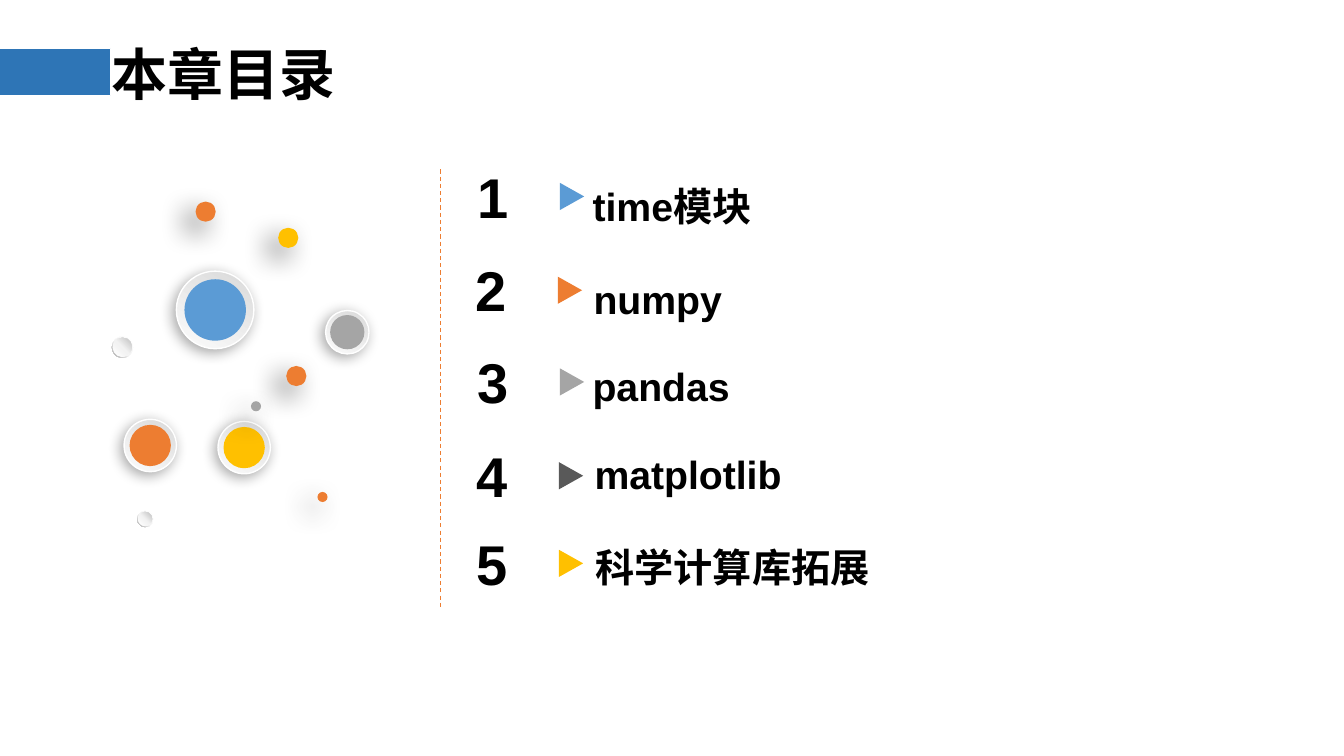
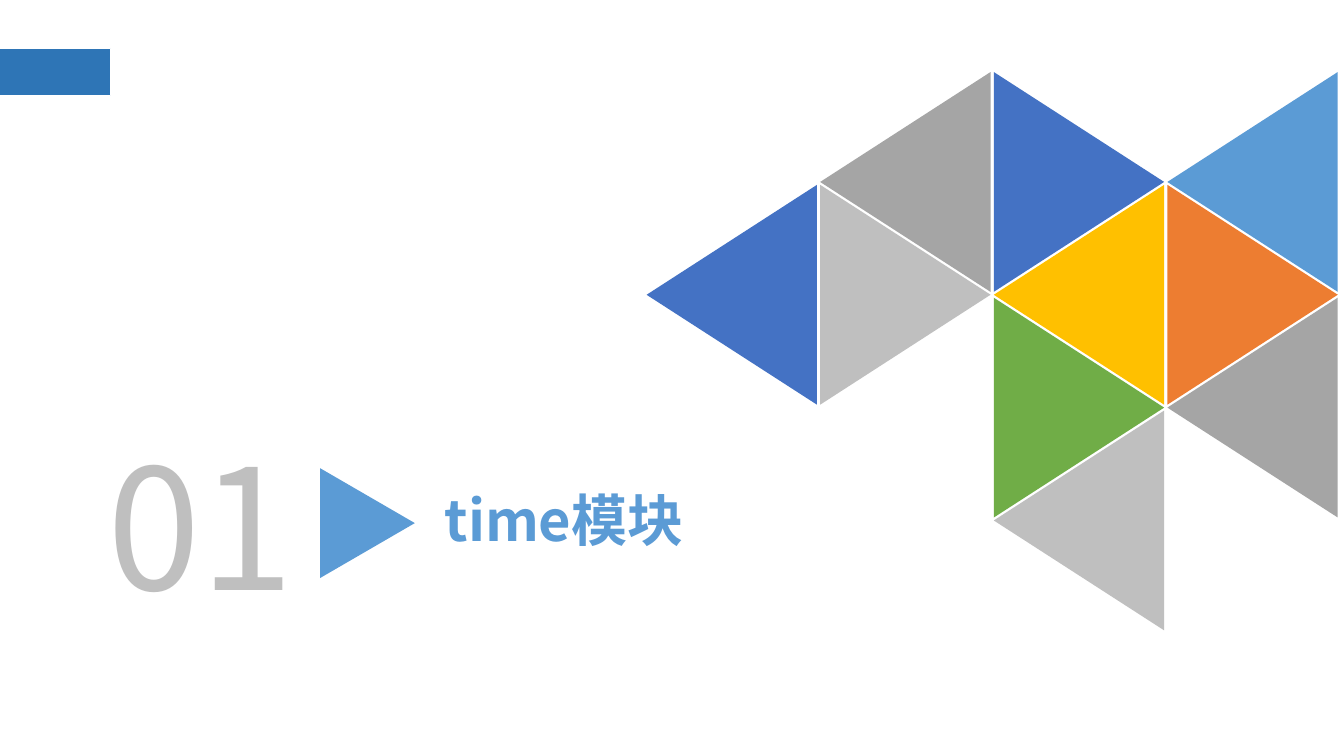
from lxml import etree
from pptx import Presentation
from pptx.dml.color import RGBColor
from pptx.enum.dml import MSO_LINE
from pptx.enum.shapes import MSO_CONNECTOR, MSO_SHAPE
from pptx.enum.text import MSO_ANCHOR, MSO_AUTO_SIZE, PP_ALIGN
from pptx.oxml.ns import qn
from pptx.util import Pt

RECTANGLE, TRIANGLE = MSO_SHAPE.RECTANGLE, MSO_SHAPE.ISOSCELES_TRIANGLE
OVAL, DONUT = MSO_SHAPE.OVAL, MSO_SHAPE.DONUT
LEFT, CENTER = PP_ALIGN.LEFT, PP_ALIGN.CENTER

LATIN, CHINESE = "Arial", "Noto Sans CJK SC"
BLACK, WHITE, SILVER, DARK_GREY, GREY = "000000", "FFFFFF", "BFBFBF", "595959", "A5A5A5"
BAND, BLUE, ROYAL, ORANGE, GOLD, GREEN = "2E75B6", "5B9BD5", "4472C4", "ED7D31", "FFC000", "70AD47"

# Gradients: stops as (percent, colour), then the clockwise angle
RIM = ([(0, "D9D9D9"), (100, "FCFCFC")], 120)
BEAD_EDGE = ([(0, WHITE), (55, "F2F2F2"), (100, "A6A6A6")], 135)
BEAD_FACE = ([(0, WHITE), (51, "F2F2F2"), (100, SILVER)], 315)
# Shadows: opacity in percent, blur, distance, direction in degrees
RIM_SHADOW = (34, 10, 3, 136)
DOT_SHADOW = (60, 20, 10, 135)


def draw(slide, kind, left, top, width, height, fill, line=None, line_width=1, shadow=None, rotation=0):
    shape = slide.shapes.add_shape(kind, Pt(left), Pt(top), Pt(width), Pt(height))
    shape.rotation = rotation
    shape.shadow.inherit = False
    properties = shape.element.spPr
    if isinstance(fill, str):
        shape.fill.solid()
        shape.fill.fore_color.rgb = RGBColor.from_string(fill)
    else:
        stops, angle = fill
        shape.fill.gradient()
        shape.fill.gradient_angle = 360 - angle
        stop_list = properties.find(qn("a:gradFill")).find(qn("a:gsLst"))
        stop_list.clear()
        for percent, colour in stops:
            stop = etree.SubElement(stop_list, qn("a:gs"), pos=str(percent * 1000))
            etree.SubElement(stop, qn("a:srgbClr"), val=colour)
    if line:
        shape.line.color.rgb = RGBColor.from_string(line)
        shape.line.width = Pt(line_width)
    else:
        shape.line.fill.background()
    if shadow:
        opacity, blur, distance, direction = shadow
        outer = etree.SubElement(
            properties.find(qn("a:effectLst")), qn("a:outerShdw"), blurRad=str(Pt(blur)),
            dist=str(Pt(distance)), dir=str(direction * 60000), algn="ctr", rotWithShape="0")
        colour = etree.SubElement(outer, qn("a:srgbClr"), val=BLACK)
        etree.SubElement(colour, qn("a:alpha"), val=str(opacity * 1000))
    return shape


def write(shape, left, top, width, height, text, size, font=LATIN, colour=BLACK, bold=True, align=LEFT):
    shape.left, shape.top, shape.width, shape.height = Pt(left), Pt(top), Pt(width), Pt(height)
    frame = shape.text_frame
    frame.word_wrap = True
    frame.auto_size = MSO_AUTO_SIZE.NONE
    frame.vertical_anchor = MSO_ANCHOR.TOP
    paragraph = frame.paragraphs[0]
    paragraph.alignment = align
    run = paragraph.add_run()
    run.text = text
    run.font.size = Pt(size)
    run.font.bold = bold
    run.font.color.rgb = RGBColor.from_string(colour)
    run.font.name = font
    etree.SubElement(run.font._element, qn("a:ea"), typeface=CHINESE)
    return paragraph


presentation = Presentation()
presentation.slide_width, presentation.slide_height = Pt(960), Pt(540)
title_only = presentation.slide_layouts[5]
contents = presentation.slides.add_slide(title_only)
section = presentation.slides.add_slide(title_only)

# Blue band, moved to the master so that every slide shows it
band = draw(contents, RECTANGLE, 0, 34.6, 79.2, 33.8, BAND, WHITE, 0.75)
presentation.slide_master.shapes.element.insert(2, band.element)

# Contents: title
write(contents.shapes.title, 72.7, 24.5, 234.7, 55.4, "本章目录", 40)

# Contents: rimmed discs (left, top, rim size, face size, colour)
for left, top, rim, face, colour in [
    (126, 193.7, 55.4, 43.9, BLUE),
    (88.6, 299.5, 37.4, 29.5, ORANGE),
    (155.7, 301, 37.4, 29.5, GOLD),
    (232.6, 221.8, 31, 24.5, GREY),
]:
    inset = (rim - face) / 2
    draw(contents, OVAL, left, top, rim, rim, RIM, WHITE, 1, RIM_SHADOW)
    draw(contents, OVAL, left + inset, top + inset, face, face, colour)

# Contents: pale beads (left, top, size)
for left, top, size in [(97.9, 365, 11.5), (79.9, 240.5, 15.1)]:
    edge = draw(contents, DONUT, left, top, size, size, BEAD_EDGE)
    edge.adjustments[0] = 0.05
    draw(contents, OVAL, left + 0.7, top + 0.7, size - 1.4, size - 1.4, BEAD_FACE)

# Contents: floating dots (left, top, size, colour)
for left, top, size, colour in [
    (204.5, 261.4, 14.4, ORANGE),
    (198.7, 162.7, 14.4, GOLD),
    (226.8, 351.4, 7.2, ORANGE),
    (139.7, 144, 14.4, ORANGE),
    (179.3, 286.6, 7.2, GREY),
]:
    draw(contents, OVAL, left, top, size, size, colour, shadow=DOT_SHADOW)

# Contents: dashed divider
divider = contents.shapes.add_connector(MSO_CONNECTOR.STRAIGHT, Pt(314.6), Pt(121), Pt(314.6), Pt(434.9))
divider.line.color.rgb = RGBColor.from_string(ORANGE)
divider.line.width = Pt(0.75)
divider.line.dash_style = MSO_LINE.DASH
etree.SubElement(divider.element.spPr, qn("a:effectLst"))

# Contents: chapters (text, colour, number left and top, text left and top)
chapters = [
    ("time模块", BLUE, 334.1, 112.3, 416.2, 110.2),
    ("numpy", ORANGE, 332.6, 179.3, 416.9, 176.4),
    ("pandas", GREY, 334.1, 244.8, 416.2, 238.3),
    ("matplotlib", DARK_GREY, 333.4, 311.8, 417.6, 301),
    ("科学计算库拓展", GOLD, 333.4, 374.4, 418.3, 367.9),
]
for number, (text, colour, left, top, text_left, text_top) in enumerate(chapters, 1):
    draw(contents, TRIANGLE, left + 64.8, top + 19.4, 19.4, 17.3, colour, rotation=90)
    number_box = contents.shapes.add_textbox(0, 0, 0, 0)
    write(number_box, left, top, 64.8, 55.4, str(number), 40)
    chapter_box = contents.shapes.add_textbox(0, 0, 0, 0)
    paragraph = write(chapter_box, text_left, text_top, 324.7, 50.4, text, 28)
    paragraph.line_spacing = 1.5

# Section: number, marker and title
write(section.shapes.title, 310.3, 343.4, 340.6, 55.4, chapters[0][0], 40, CHINESE, BLUE)
number_box = section.shapes.add_textbox(0, 0, 0, 0)
write(number_box, 35.3, 298.1, 216, 152.6, "01", 120, CHINESE, SILVER, False, CENTER)
draw(section, TRIANGLE, 223.2, 339.8, 78.5, 67.7, BLUE, rotation=90)

# Section: triangle mosaic (column, row, colour), directions alternate
for column, row, colour in [
    (3, 0, BLUE), (3, 1, ORANGE), (3, 2, GREY),
    (2, 0, ROYAL), (2, 1, GOLD), (2, 2, GREEN), (2, 3, SILVER),
    (1, 0, GREY), (1, 1, SILVER), (0, 1, ROYAL),
]:
    rotation = 270 if (column + row) % 2 else 90
    draw(section, TRIANGLE, 444.2 + 124 * column, 69.1 + 80.6 * row, 157, 121.7, colour, rotation=rotation)

presentation.save("out.pptx")
